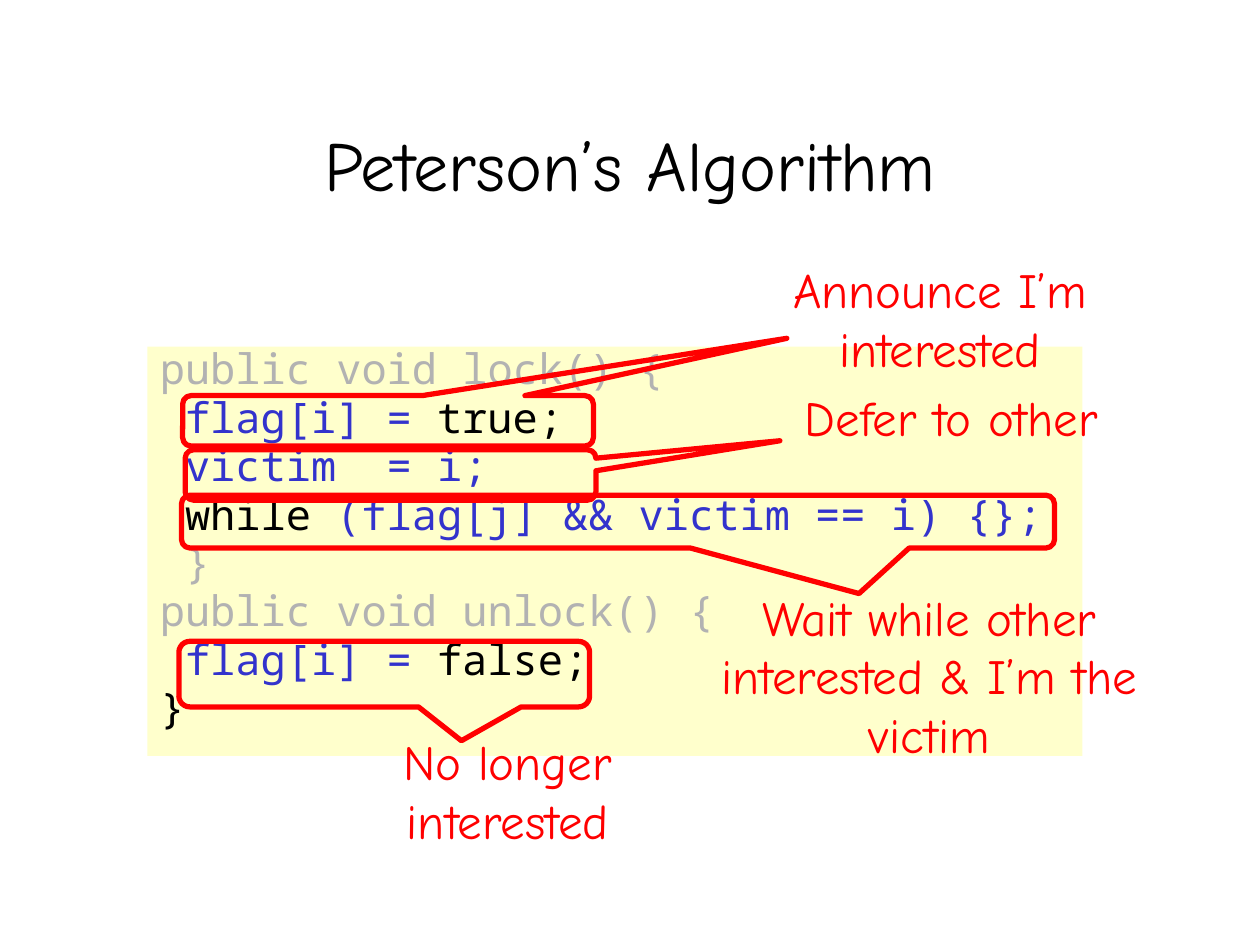
import pptx
import pptx.util
import pptx.dml.color
import pptx.enum.shapes
import pptx.enum.text

Inches = pptx.util.Inches
Pt = pptx.util.Pt
Shape = pptx.enum.shapes.MSO_SHAPE
Align = pptx.enum.text.PP_ALIGN
Anchor = pptx.enum.text.MSO_ANCHOR

THEME = {
    "hand": "Comic Neue", "mono": "Noto Sans Mono",
    "title": 40, "note": 28, "code": 24, "line": 3, "gap": 4.6,
    "black": "000000", "gray": "B2B2B2", "blue": "3333CC",
    "red": "FF0000", "cream": "FFFFCC",
}

TITLE = ("Peterson’s Algorithm", (0.75, 0.67, 8.5, 1.25))
PANEL = (1.17, 2.75, 7.42, 3.25)
CODE = [
    [("public void lock() {", "gray")],
    [(" flag[i] = ", "blue"), ("true;", "black")],
    [(" victim  = i;", "blue")],
    [(" while ", "black"), ("(flag[j] && victim == i) {};", "blue")],
    [(" }", "gray")],
    [("public void unlock() {", "gray")],
    [(" flag[i] = ", "blue"), ("false;", "black")],
    [("}", "black")],
]
NOTES = [
    ("Announce I’m interested", (5.98, 2.01, 2.96, 1.03),
     (1.45, 3.14, 3.26, 0.4), (0.971, -1.637)),
    ("Defer to other", (6.07, 3.03, 2.96, 0.57),
     (1.47, 3.57, 3.26, 0.4), (0.948, -0.68)),
    ("Wait while other interested & I’m the victim", (5.5, 4.61, 3.75, 1.5),
     (1.44, 3.93, 6.93, 0.42), (0.276, 1.359)),
    ("No longer interested", (2.55, 5.76, 2.96, 1.03),
     (1.42, 5.09, 3.26, 0.52), (0.188, 1.017)),
]


def color(name):
    return pptx.dml.color.RGBColor.from_string(THEME[name])


def place(box):
    return [Inches(v) for v in box]


def style(font, face, size):
    font.name = THEME[face]
    font.size = Pt(THEME[size])


def label(slide, text, box, size, tint, anchor=Anchor.TOP):
    frame = slide.shapes.add_textbox(*place(box)).text_frame
    frame.word_wrap = True
    frame.vertical_anchor = anchor
    para = frame.paragraphs[0]
    para.text = text
    para.alignment = Align.CENTER
    style(para.font, "hand", size)
    para.font.color.rgb = color(tint)


def panel(slide):
    shape = slide.shapes.add_shape(Shape.RECTANGLE, *place(PANEL))
    shape.shadow.inherit = False
    shape.fill.solid()
    shape.fill.fore_color.rgb = color("cream")
    shape.line.fill.background()
    frame = shape.text_frame
    frame.word_wrap = True
    frame.vertical_anchor = Anchor.TOP
    for row, parts in enumerate(CODE):
        para = frame.add_paragraph() if row else frame.paragraphs[0]
        para.alignment = Align.LEFT
        para.line_spacing = 0.8
        if row:
            para.space_before = Pt(THEME["gap"])
        style(para.font, "mono", "code")
        for text, tint in parts:
            run = para.add_run()
            run.text = text
            run.font.color.rgb = color(tint)


def bubble(slide, box, tip):
    shape = slide.shapes.add_shape(
        Shape.ROUNDED_RECTANGULAR_CALLOUT, *place(box))
    shape.shadow.inherit = False
    for index, value in enumerate((*tip, 0.167)):
        shape.adjustments[index] = value
    shape.fill.background()
    shape.line.color.rgb = color("red")
    shape.line.width = Pt(THEME["line"])


def main():
    deck = pptx.Presentation()
    deck.slide_width, deck.slide_height = Inches(10), Inches(7.5)
    slide = deck.slides.add_slide(deck.slide_layouts[6])
    label(slide, *TITLE, "title", "black", Anchor.MIDDLE)
    panel(slide)
    for text, spot, box, tip in NOTES:
        bubble(slide, box, tip)
        label(slide, text, spot, "note", "red")
    deck.save("out.pptx")


if __name__ == "__main__":
    main()
